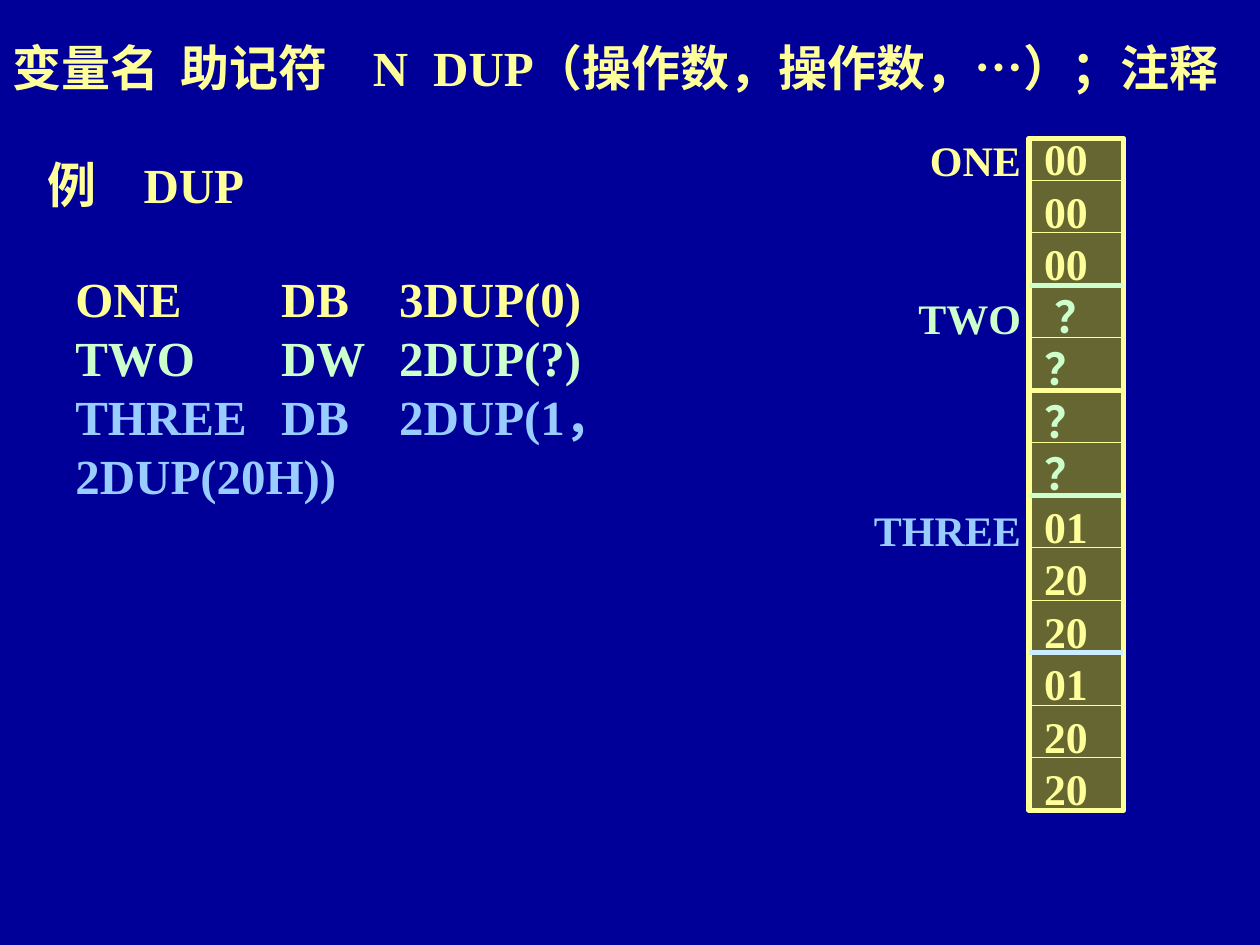
from lxml import etree
from pptx import Presentation
from pptx.dml.color import RGBColor
from pptx.enum import shapes, text
from pptx.oxml import ns
from pptx.util import Pt

YELLOW, GREEN, BLUE, PALE = "FFFF99", "CCFFCC", "99CCFF", "CCECFF"
ROW = 30  # height of one memory byte


def rgb(value):
    return RGBColor.from_string(value)


def set_all(obj, values):
    for name, value in values.items():
        setattr(obj, name, value)


def add_tabs(p, stops):
    tabs = etree.SubElement(p._p.get_or_add_pPr(), ns.qn("a:tabLst"))
    for pos in stops:
        etree.SubElement(tabs, ns.qn("a:tab"), pos=str(Pt(pos)), algn="l")


def add_text(s, box, lines, size, tabs=(), pitch=None, align="LEFT",
             anchor="TOP", frame=None):
    """Add a text box; each line is (text, colour) or (text, colour, indent)."""
    tf = s.shapes.add_textbox(*map(Pt, box)).text_frame
    set_all(tf, {"word_wrap": True,
                 "vertical_anchor": getattr(text.MSO_ANCHOR, anchor),
                 **(frame or {})})
    for i, (words, colour, *indent) in enumerate(lines):
        p = tf.add_paragraph() if i else tf.paragraphs[0]
        p.alignment = getattr(text.PP_ALIGN, align)
        if pitch:
            p.line_spacing = Pt(pitch)
        if indent:
            p._p.get_or_add_pPr().set("marL", str(Pt(indent[0])))
        if tabs:
            add_tabs(p, tabs)
        r = p.add_run()
        r.text = words
        set_all(r.font, {"name": "Times New Roman", "size": Pt(size), "bold": True})
        r.font.color.rgb = rgb(colour)


def add_block(s, box, fill, line, width):
    sp = s.shapes.add_shape(shapes.MSO_SHAPE.RECTANGLE, *map(Pt, box))
    sp.shadow.inherit = False
    sp.fill.solid()
    sp.fill.fore_color.rgb = rgb(fill)
    sp.line.color.rgb = rgb(line)
    sp.line.width = Pt(width)


def add_rule(s, left, right, y, colour, width):
    sp = s.shapes.add_connector(shapes.MSO_CONNECTOR.STRAIGHT,
                                Pt(left), Pt(y), Pt(right), Pt(y))
    sp.line.color.rgb = rgb(colour)
    sp.line.width = Pt(width)
    etree.SubElement(sp._element.spPr, ns.qn("a:effectLst"))


def main():
    prs = Presentation()
    set_all(prs, {"slide_width": Pt(720), "slide_height": Pt(540)})
    s = prs.slides.add_slide(prs.slide_layouts[6])
    s.background.fill.solid()
    s.background.fill.fore_color.rgb = rgb("000099")

    # Definitions
    add_text(s, (36, 150, 480, 142),
             [("ONE\tDB\t3DUP(0)", YELLOW),
              ("TWO\tDW\t2DUP(?)", GREEN),
              ("THREE\tDB\t2DUP(1，2DUP(20H))", BLUE)],
             28, tabs=(117.5, 185), pitch=33.7, frame={"margin_right": Pt(40)})

    # Memory column
    left, top, width = 588, 79, 54
    add_block(s, (left, top, width, 384), "666633", YELLOW, 3)
    thick = {2: GREEN, 4: YELLOW, 6: GREEN, 9: PALE}
    for i in range(12):
        add_rule(s, left, left + width, 103 + ROW * i,
                 thick.get(i, YELLOW), 3 if i in thick else 0.75)
    cells = [("00", YELLOW)] * 3 + [("？", GREEN, 6)] + [("？", GREEN)] * 3
    cells += [(byte, YELLOW) for byte in ("01", "20", "20") * 2]
    add_text(s, (589.5, 72, 51, 397), cells, 25, pitch=ROW)

    # Variable names beside the column
    for name, colour, y in (("ONE", YELLOW, 73.5), ("TWO", GREEN, 163.5),
                            ("THREE", BLUE, 285)):
        add_text(s, (490, y, 100.5, 36), [(name, colour)], 24, align="RIGHT")

    # Syntax line and heading
    add_text(s, (0, 18, 750, 75),
             [("变量名\t助记符\tN\tDUP（操作数，操作数，…）；注释", YELLOW)],
             28, tabs=(96, 206, 240.5))
    add_text(s, (18, 78, 132, 54), [("例\tDUP", YELLOW)], 28, tabs=(55,),
             anchor="MIDDLE", frame={"margin_left": Pt(9)})

    prs.save("out.pptx")


if __name__ == "__main__":
    main()
